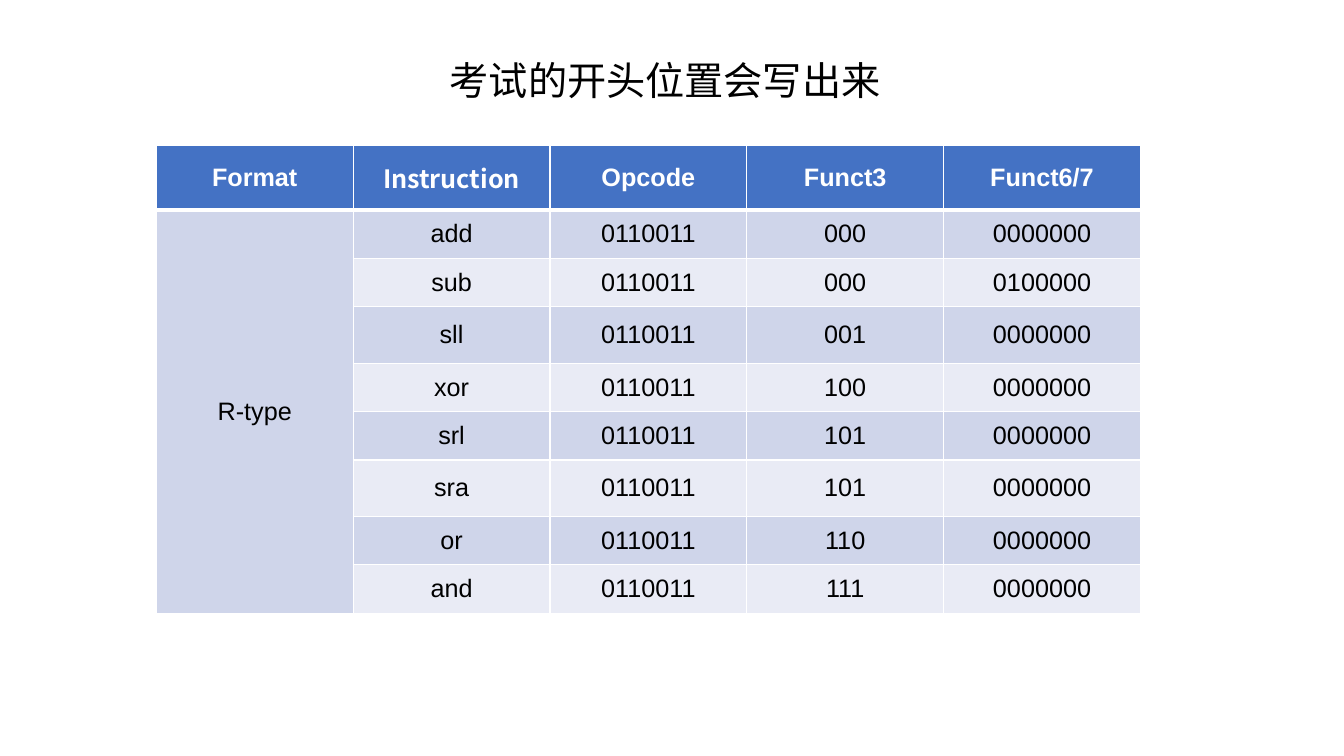
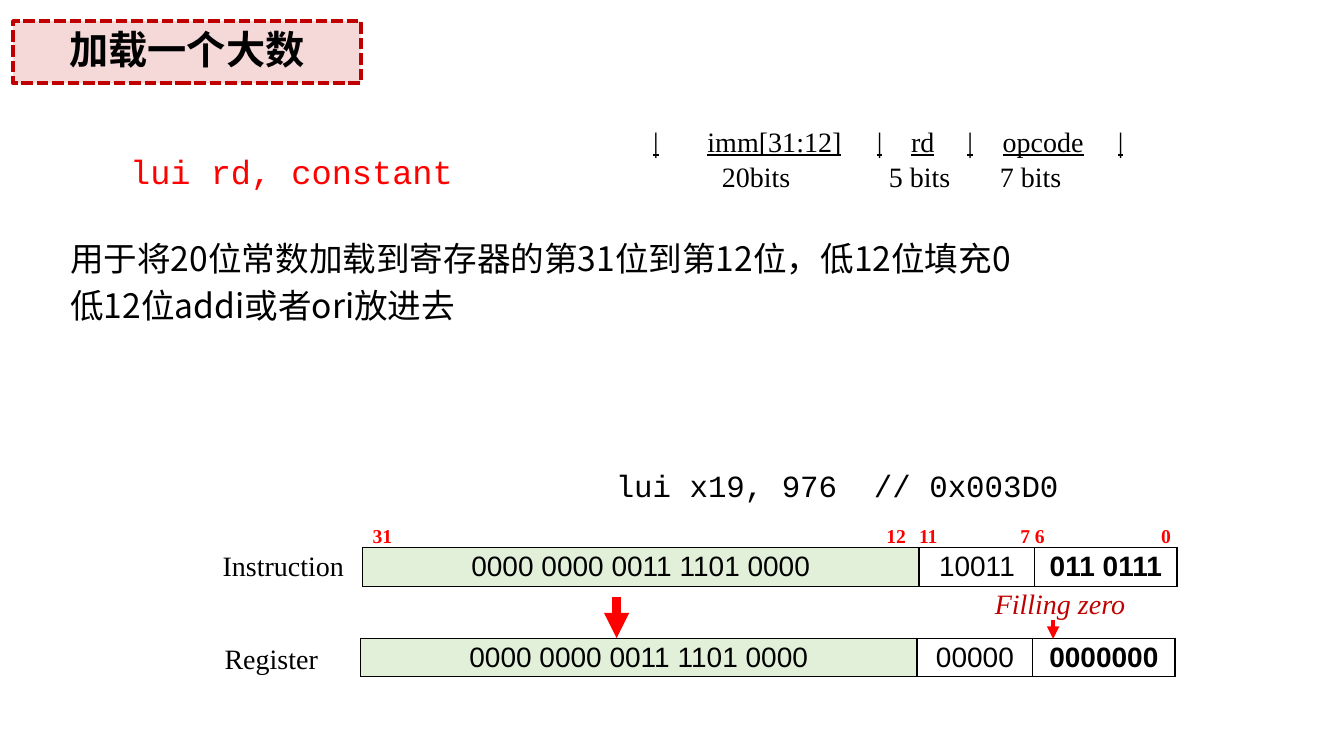
from lxml.etree import SubElement
from pptx import Presentation
from pptx.dml.color import RGBColor
from pptx.enum.dml import MSO_LINE
from pptx.enum.shapes import MSO_CONNECTOR as Connector
from pptx.enum.text import MSO_ANCHOR as Anchor, MSO_AUTO_SIZE as AutoSize, PP_ALIGN as Align
from pptx.oxml.ns import qn
from pptx.util import Cm, Pt

COLORS = {
    "black": "000000", "white": "FFFFFF", "red": "FF0000", "dark_red": "C00000",
    "header": "4472C4", "band_dark": "CFD5EA", "band_light": "E9EBF5", "field": "E2F0D9",
}
SANS, CHINESE, SERIF, CODE = "Arial", "Noto Sans CJK SC", "Times New Roman", "Courier New"
SIDES = ("L", "R", "T", "B")
TITLE_ONLY = 5


class Deck:
    """Holds the shared style and the slide being filled."""

    def __init__(self):
        self.presentation = Presentation()
        self.presentation.slide_width = Cm(33.87)
        self.presentation.slide_height = Cm(19.05)
        self.slide = None

    def add_slide(self):
        layout = self.presentation.slide_layouts[TITLE_ONLY]
        self.slide = self.presentation.slides.add_slide(layout)

    def fill_paragraph(self, paragraph, text, size=20, font=SERIF, color="black", tabs=(),
                       layout=None, **style):
        """Set one paragraph; tabs are (position in cm, alignment) pairs."""
        for name, value in (layout or {}).items():
            setattr(paragraph, name, value)
        if tabs:
            tab_list = SubElement(paragraph._p.get_or_add_pPr(), qn("a:tabLst"))
            for position, side in tabs:
                SubElement(tab_list, qn("a:tab"), pos=str(Cm(position)), algn=side)
        run = paragraph.add_run()
        run.text = text
        values = {"size": Pt(size), "name": font, "bold": False, **style}
        for name, value in values.items():
            setattr(run.font, name, value)
        run.font.color.rgb = RGBColor.from_string(COLORS[color])
        SubElement(run._r.get_or_add_rPr(), qn("a:ea"), typeface=font)

    def title(self, text, left, top, width, height, **style):
        shape = self.slide.shapes.title
        box = {"left": left, "top": top, "width": width, "height": height}
        for name, value in box.items():
            setattr(shape, name, Cm(value))
        frame = shape.text_frame
        frame.auto_size = AutoSize.NONE
        frame.vertical_anchor = Anchor.MIDDLE
        self.fill_paragraph(frame.paragraphs[0], text, 28, CHINESE,
                            layout={"alignment": Align.CENTER, "line_spacing": 0.9}, **style)
        return shape

    def banner(self, *args):
        """Title in a dashed, lightly tinted frame."""
        shape = self.title(*args, bold=True)
        dark_red = RGBColor.from_string(COLORS["dark_red"])
        shape.fill.solid()
        shape.fill.fore_color.rgb = dark_red
        tint = shape.element.spPr.find(qn("a:solidFill")).find(qn("a:srgbClr"))
        SubElement(tint, qn("a:alpha"), val="15000")
        shape.line.color.rgb = dark_red
        shape.line.width = Pt(2.75)
        shape.line.dash_style = MSO_LINE.SQUARE_DOT

    def text(self, left, top, width, height, *paragraphs):
        box = self.slide.shapes.add_textbox(Cm(left), Cm(top), Cm(width), Cm(height))
        frame = box.text_frame
        frame.word_wrap = True
        for index, paragraph in enumerate(paragraphs):
            target = frame.add_paragraph() if index else frame.paragraphs[0]
            self.fill_paragraph(target, **paragraph)

    def table(self, left, top, widths, heights):
        frame = self.slide.shapes.add_table(
            len(heights), len(widths), Cm(left), Cm(top), Cm(sum(widths)), Cm(sum(heights)))
        table = frame.table
        for column, width in zip(table.columns, widths):
            column.width = Cm(width)
        for row, height in zip(table.rows, heights):
            row.height = Cm(height)
        return table

    def cell(self, cell, text, fill=None, border=None, bottom=1, margins=(0.25, 0.13),
             anchor=Anchor.MIDDLE, **style):
        values = {"vertical_anchor": anchor, "margin_left": Cm(margins[0]), "margin_right": Cm(margins[0]),
                  "margin_top": Cm(margins[1]), "margin_bottom": Cm(margins[1])}
        for name, value in values.items():
            setattr(cell, name, value)
        properties = cell._tc.get_or_add_tcPr()
        for side in SIDES:
            width = Pt(bottom if side == "B" else 1)
            line = SubElement(properties, qn(f"a:ln{side}"), w=str(width))
            if border:
                SubElement(SubElement(line, qn("a:solidFill")), qn("a:srgbClr"), val=COLORS[border])
            else:
                SubElement(line, qn("a:noFill"))
        if fill:
            cell.fill.solid()
            cell.fill.fore_color.rgb = RGBColor.from_string(COLORS[fill])
        else:
            cell.fill.background()
        if text:
            self.fill_paragraph(cell.text_frame.paragraphs[0], text, **style)

    def bit_fields(self, left, top, fields, bit_ranges=()):
        """Row of bit fields, with an optional row of bit numbers above."""
        heights = [0.58, 0.97] if bit_ranges else [0.97]
        table = self.table(left, top, [14.02, 2.92, 3.58], heights)
        table.first_row = table.horz_banding = False
        for column, (first, last, margin, stop) in enumerate(bit_ranges):
            self.cell(table.cell(0, column), f"{first}\t{last}", margins=(margin, 0),
                      anchor=Anchor.BOTTOM, size=14, color="red", bold=True, tabs=[(stop, "r")])
        for column, field in enumerate(fields):
            self.cell(table.cell(len(heights) - 1, column), field, None if column else "field", "black",
                      margins=(0.25, 0), font=SANS, bold=column == 2, layout={"alignment": Align.CENTER})

    def arrow(self, x, top, bottom, width):
        arrow = self.slide.shapes.add_connector(Connector.STRAIGHT, Cm(x), Cm(top), Cm(x), Cm(bottom))
        arrow.line.color.rgb = RGBColor.from_string(COLORS["red"])
        arrow.line.width = Pt(width)
        SubElement(arrow.line._get_or_add_ln(), qn("a:tailEnd"), type="triangle")
        SubElement(arrow.element.spPr, qn("a:effectLst"))


def opcode_slide(deck):
    deck.add_slide()
    deck.title("考试的开头位置会写出来", 4.9, 1.32, 23.72, 1.55)

    # Opcode table
    headers = ["Format", "Instruction", "Opcode", "Funct3", "Funct6/7"]
    instructions = [
        ("add", "000", "0000000"), ("sub", "000", "0100000"), ("sll", "001", "0000000"),
        ("xor", "100", "0000000"), ("srl", "101", "0000000"), ("sra", "101", "0000000"),
        ("or", "110", "0000000"), ("and", "111", "0000000"),
    ]
    heights = [1.63] + [1.42 if name in ("sll", "sra") else 1.22 for name, *_ in instructions]
    table = deck.table(3.94, 3.66, [4.96] * 5, heights)
    shared = {"border": "white", "size": 18, "layout": {"alignment": Align.CENTER}}
    for column, header in enumerate(headers):
        deck.cell(table.cell(0, column), header, "header", bottom=3, color="white", bold=True,
                  font=CHINESE if header == "Instruction" else SANS, **shared)
    for row, (name, funct3, funct7) in enumerate(instructions, 1):
        band = "band_dark" if row % 2 else "band_light"
        values = ["R-type" if row == 1 else "", name, "0110011", funct3, funct7]
        for column, value in enumerate(values):
            deck.cell(table.cell(row, column), value, band if column else "band_dark", font=SANS, **shared)
    table.cell(1, 0).merge(table.cell(len(instructions), 0))


def load_upper_slide(deck):
    deck.add_slide()
    deck.banner("加载一个大数", 0.33, 0.53, 8.76, 1.57)

    # Syntax and explanation
    deck.text(3.03, 3.69, 10, 1.2, {"text": "lui rd, constant", "size": 24, "font": CODE, "color": "red"})
    chinese = {"size": 24, "font": CHINESE}
    deck.text(1.52, 5.86, 27.99, 2.8,
              {"text": "用于将20位常数加载到寄存器的第31位到第12位，低12位填充0", **chinese},
              {"text": "低12位addi或者ori放进去", "layout": {"space_before": Pt(4.8)}, **chinese})

    # Instruction format
    name_stops = [(stop, "l") for stop in (1.37, 5.64, 6.5, 7.92, 8.81, 11.71)]
    size_stops = [(stop, "l") for stop in (1.73, 5.94, 8.74)]
    deck.text(16.21, 3.1, 13, 1.96,
              {"text": "|\timm[31:12]\t|\trd\t|\topcode\t|", "underline": True, "tabs": name_stops,
               "layout": {"line_spacing": 0.9}},
              {"text": "\t20bits\t5 bits\t7 bits", "tabs": size_stops,
               "layout": {"line_spacing": 0.9, "space_before": Pt(4)}})

    # Worked example
    deck.text(15.27, 11.63, 11.84, 1.19, {"text": "lui x19, 976  // 0x003D0", "size": 22, "font": CODE})
    constant = "0000 0000 0011 1101 0000"
    bit_ranges = [(31, 12, 0.25, 13.44), (11, 7, 0, 2.8), (6, 0, 0, 3.43)]
    deck.bit_fields(9.14, 13.21, [constant, "10011", "011 0111"], bit_ranges)
    deck.bit_fields(9.09, 16.08, [constant, "00000", "0000000"])
    deck.text(5.36, 13.69, 3.58, 1.12, {"text": "Instruction"})
    deck.text(5.41, 16.05, 2.9, 1.12, {"text": "Register"})
    deck.text(24.82, 14.66, 3.81, 1.12, {"text": "Filling zero", "color": "dark_red", "italic": True})
    deck.arrow(15.54, 15.04, 16.08, 6)
    deck.arrow(26.54, 15.62, 16.1, 3)


def main():
    deck = Deck()
    opcode_slide(deck)
    load_upper_slide(deck)
    deck.presentation.save("out.pptx")


if __name__ == "__main__":
    main()
